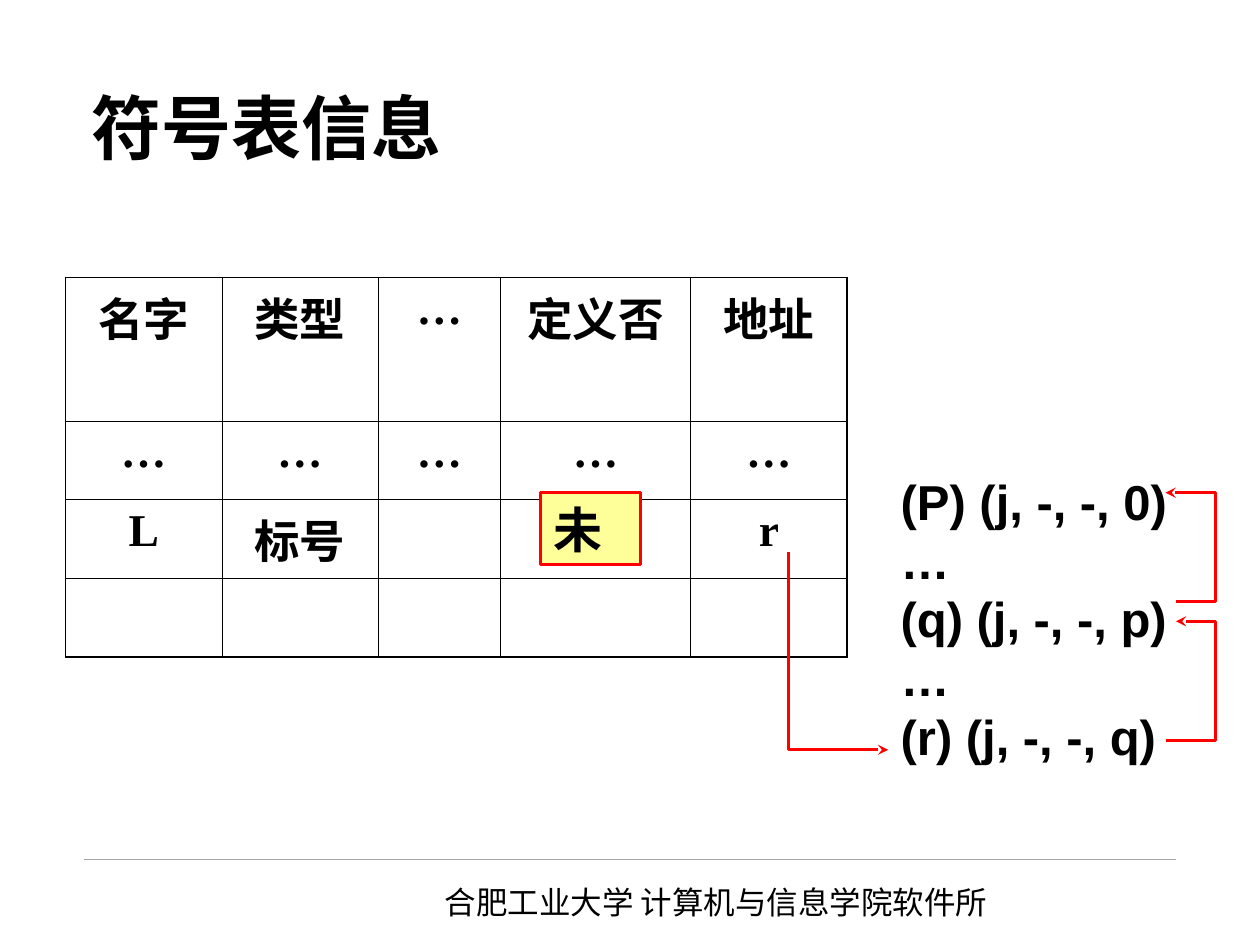
from pptx import Presentation
from pptx.dml.color import RGBColor
from pptx.enum.shapes import MSO_CONNECTOR as Connector, MSO_SHAPE as Shape
from pptx.enum.text import MSO_ANCHOR as Anchor, PP_ALIGN as Align
from pptx.oxml import parse_xml
from pptx.oxml.ns import nsdecls
from pptx.util import Pt

CJK = "Noto Sans CJK SC"


def write(frame, text, size, font, bold=True, color="000000", align=Align.LEFT,
          anchor=Anchor.TOP, spacing=None):
    frame.word_wrap = True
    frame.vertical_anchor = anchor
    frame.text = text
    for para in frame.paragraphs:
        para.alignment = align
        para.line_spacing = spacing
        for span in para.runs:
            span.font.size = Pt(size)
            span.font.bold = bold
            span.font.name = font
            span.font.color.rgb = RGBColor.from_string(color)
            span.font._element.append(
                parse_xml(f'<a:ea {nsdecls("a")} typeface="{CJK}"/>'))


def set_line(line, color, width):
    line.color.rgb = RGBColor.from_string(color)
    line.width = Pt(width)


deck = Presentation()
deck.slide_width, deck.slide_height = Pt(720), Pt(540)
page = deck.slides.add_slide(deck.slide_layouts[5])
shapes = page.shapes

# Footer
rule = shapes.add_connector(Connector.STRAIGHT, Pt(48), Pt(491), Pt(672), Pt(491))
set_line(rule.line, "A6A6A6", 0.25)
rule._element.spPr.append(parse_xml(f'<a:effectLst {nsdecls("a")}/>'))
footer = shapes.add_textbox(Pt(247), Pt(501), Pt(363), Pt(29))
write(footer.text_frame, "合肥工业大学 计算机与信息学院软件所", 18, CJK, bold=False)

# Title
title = shapes.title
title.left, title.top, title.width, title.height = Pt(45), Pt(24), Pt(630), Pt(96)
write(title.text_frame, "符号表信息", 40, "DejaVu Sans", anchor=Anchor.MIDDLE)

# Symbol table
rows = [
    ["名字", "类型", "…", "定义否", "地址"],
    ["…"] * 5,
    ["L", "标号", "", "", "r"],
    [""] * 5,
]
widths = [89.3, 89.3, 70, 108.7, 89.3]
heights = [82, 45, 45, 45]
table_shape = shapes.add_table(len(rows), len(widths), Pt(37.5), Pt(158.5),
                               Pt(sum(widths)), Pt(sum(heights)))
table = table_shape.table
table.first_row = table.horz_banding = False
for column, width in zip(table.columns, widths):
    column.width = Pt(width)
for row, height in zip(table.rows, heights):
    row.height = Pt(height)

for r, texts in enumerate(rows):
    for c, text in enumerate(texts):
        cell = table.cell(r, c)
        write(cell.text_frame, text, 26, "Times New Roman", align=Align.CENTER)
        outer_edges = {"L": c == 0, "R": c == len(widths) - 1,
                       "T": r == 0, "B": r == len(rows) - 1}
        for side, outer in outer_edges.items():
            border = Pt(1.08 if outer else 0.45)
            cell._tc.get_or_add_tcPr().append(parse_xml(
                f'<a:ln{side} {nsdecls("a")} w="{border}"><a:solidFill>'
                f'<a:srgbClr val="000000"/></a:solidFill></a:ln{side}>'))
        cell.fill.background()

# Jump instructions
code = shapes.add_textbox(Pt(507.6), Pt(266), Pt(212.4), Pt(207))
write(code.text_frame,
      "(P) (j, -, -, 0)\n…\n(q) (j, -, -, p)\n…\n(r) (j, -, -, q)",
      28, "Arial", spacing=Pt(33.5))

# Chain of arrows from the table entry back through the jumps
chains = [
    [(450.5, 315.5), (450.5, 428.5), (507.5, 428.5)],
    [(666, 423), (694.5, 423), (694.5, 355), (672, 355)],
    [(672, 343.5), (694.5, 343.5), (694.5, 281.5), (666, 281.5)],
]
for points in chains:
    start, *rest = [(Pt(x), Pt(y)) for x, y in points]
    builder = shapes.build_freeform(*start)
    builder.add_line_segments(rest, close=False)
    arrow = builder.convert_to_shape()
    arrow.shadow.inherit = False
    arrow.fill.background()
    set_line(arrow.line, "FF0000", 1.75)
    arrow.line._get_or_add_ln().append(
        parse_xml(f'<a:tailEnd {nsdecls("a")} type="stealth"/>'))

# "Not yet defined" mark
mark = shapes.add_shape(Shape.RECTANGLE, Pt(309), Pt(281.5), Pt(57), Pt(41))
mark.shadow.inherit = False
mark.fill.solid()
mark.fill.fore_color.rgb = RGBColor.from_string("FFFF99")
set_line(mark.line, "FF0000", 1.5)
write(mark.text_frame, "未", 28, "Arial", anchor=Anchor.MIDDLE)

deck.save("out.pptx")
